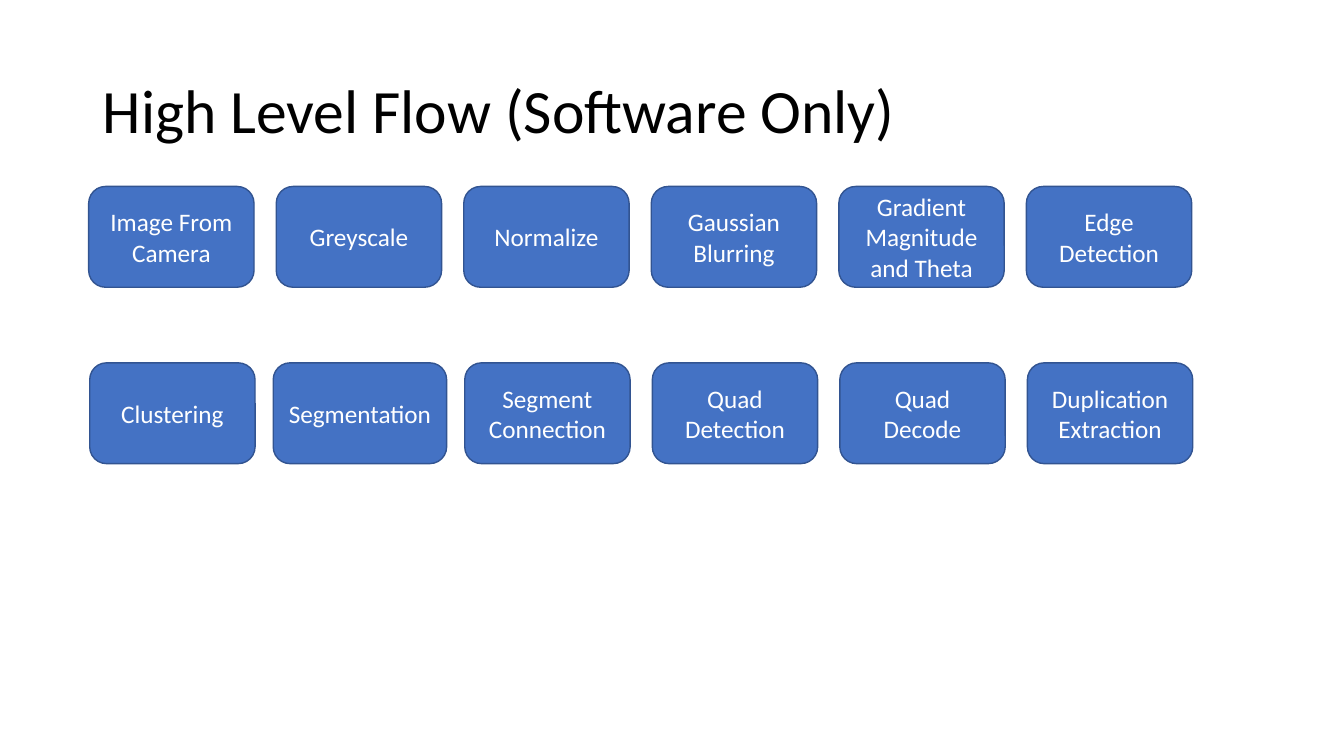
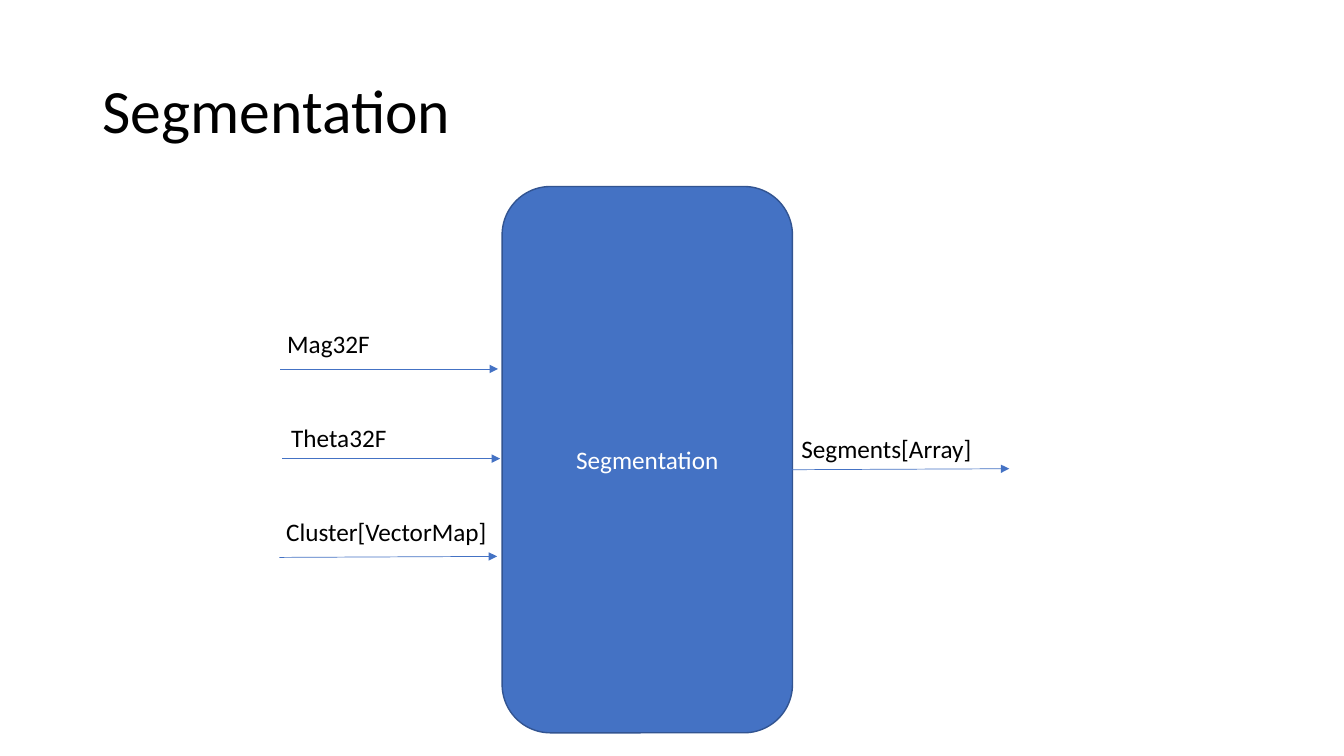
"""Build two slides: the software flow and the segmentation block."""
from dataclasses import dataclass

from lxml import etree
from pptx import Presentation
from pptx import util as u
from pptx.dml.color import RGBColor
from pptx.enum import shapes, text
from pptx.oxml import ns


@dataclass(frozen=True)
class Theme:
    font: str = "Calibri"
    ink: str = "000000"
    light: str = "FFFFFF"
    accent: str = "4472C4"
    edge: str = "325491"
    title_size: int = 44
    body_size: int = 18


theme = Theme()
prs = Presentation()
prs.slide_width, prs.slide_height = u.Inches(13.33), u.Inches(7.5)


def add_text(s, words, x, y, w, h, size=theme.body_size, color=theme.ink,
             block=False, middle=False, spacing=None):
    """Add text as a label, or centred in a rounded block."""
    box = [u.Inches(v) for v in (x, y, w, h)]
    if block:
        sp = s.shapes.add_shape(shapes.MSO_SHAPE.ROUNDED_RECTANGLE, *box)
        sp.shadow.inherit = False
        sp.fill.solid()
        sp.fill.fore_color.rgb = RGBColor.from_string(theme.accent)
        sp.line.color.rgb = RGBColor.from_string(theme.edge)
        sp.line.width = u.Pt(1)
    else:
        sp = s.shapes.add_textbox(*box)
    tf = sp.text_frame
    tf.word_wrap = True
    tf.vertical_anchor = text.MSO_ANCHOR.MIDDLE if block or middle else text.MSO_ANCHOR.TOP
    p = tf.paragraphs[0]
    p.alignment = text.PP_ALIGN.CENTER if block else text.PP_ALIGN.LEFT
    p.line_spacing = spacing
    r = p.add_run()
    r.text = words
    r.font.name, r.font.size = theme.font, u.Pt(size)
    r.font.color.rgb = RGBColor.from_string(color)


def add_titled_slide(title):
    """Add a blank slide with the shared title style."""
    s = prs.slides.add_slide(prs.slide_layouts[6])
    add_text(s, title, 0.92, 0.4, 11.5, 1.45, size=theme.title_size, middle=True, spacing=0.9)
    return s


s = add_titled_slide("High Level Flow (Software Only)")
rows = [
    (0.88, 1.85, ["Image From Camera", "Greyscale", "Normalize", "Gaussian Blurring",
                  "Gradient Magnitude and Theta", "Edge Detection"]),
    (0.89, 3.6, ["Clustering", "Segmentation", "Segment Connection", "Quad Detection",
                 "Quad Decode", "Duplication Extraction"]),
]
step_width, step_pitch = 1.64, 1.86
for left, top, steps in rows:
    for i, step in enumerate(steps):
        extra = 0.08 if step == "Segmentation" else 0
        add_text(s, step, left + i * step_pitch - extra / 2, top, step_width + extra, 1,
                 color=theme.light, block=True)

s = add_titled_slide("Segmentation")
add_text(s, "Segmentation", 4.98, 1.85, 2.88, 5.42, color=theme.light, block=True)
signals = [
    ("Cluster[VectorMap]", 2.74, 5.07, 2.77, 5.53, 5.52),
    ("Mag32F", 2.75, 3.21, 2.78, 3.66, 3.66),
    ("Theta32F", 2.79, 4.14, 2.8, 4.55, 4.55),
    ("Segments[Array]", 7.85, 4.25, 7.85, 4.66, 4.65),
]
arrow_length = 2.16
for label, x, y, start, start_y, end_y in signals:
    ends = [u.Inches(v) for v in (start, start_y, start + arrow_length, end_y)]
    arrow = s.shapes.add_connector(shapes.MSO_CONNECTOR.STRAIGHT, *ends)
    arrow.line.color.rgb = RGBColor.from_string(theme.accent)
    arrow.line.width = u.Pt(0.5)
    etree.SubElement(arrow.line._get_or_add_ln(), ns.qn("a:tailEnd"), type="triangle")
    etree.SubElement(arrow._element.spPr, ns.qn("a:effectLst"))
    add_text(s, label, x, y, 3, 0.4)

prs.save("out.pptx")
